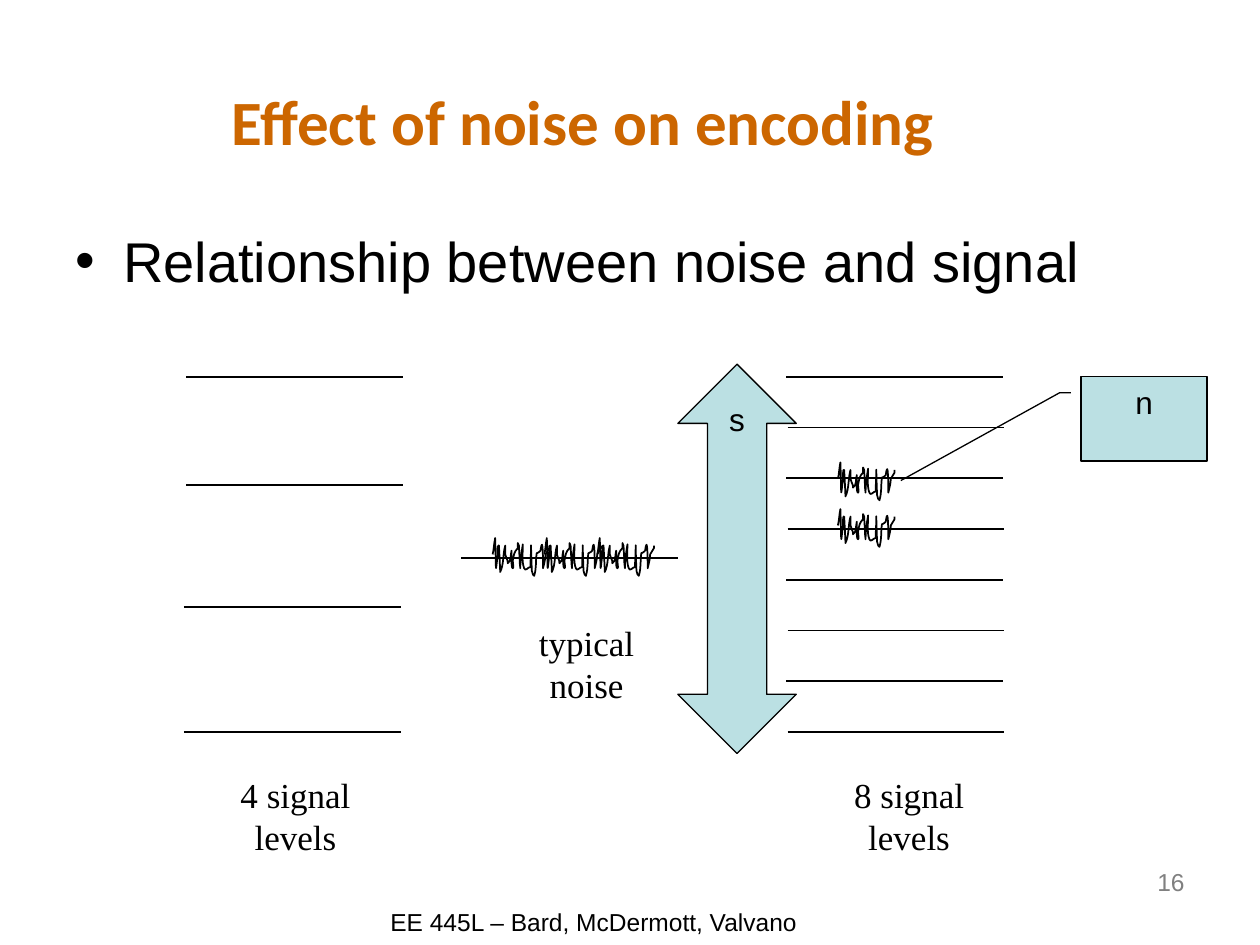
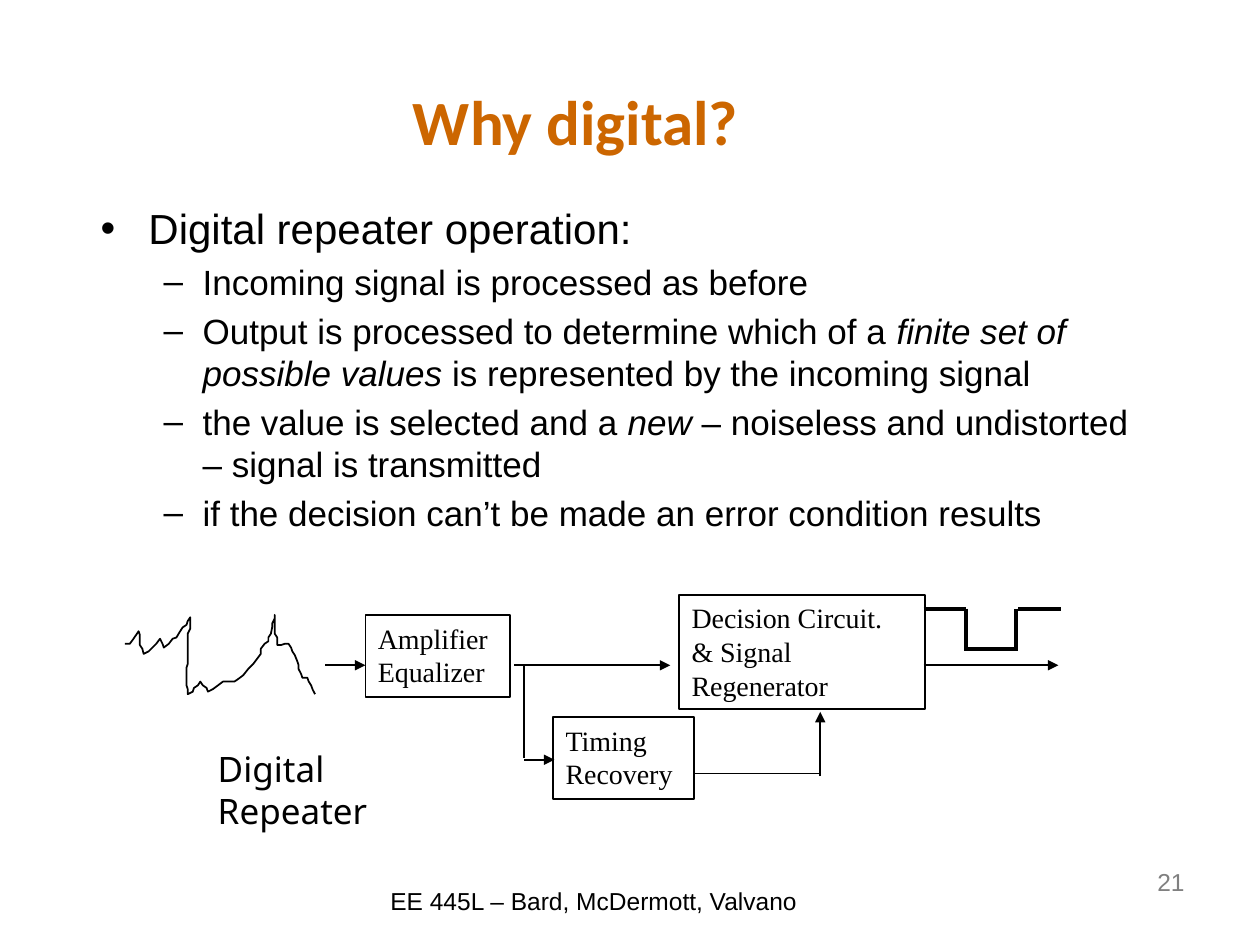
from pptx import Presentation
from pptx.dml.color import RGBColor
from pptx.enum.shapes import MSO_CONNECTOR, MSO_SHAPE
from pptx.enum.text import MSO_ANCHOR as ANCHOR, PP_ALIGN as ALIGN
from pptx.oxml.ns import qn
from pptx.util import Cm, Pt
from lxml.etree import SubElement

BLACK, ORANGE, GREY, AQUA = "000000", "CC6600", "808080", "BBE0E3"
FOOTER = "EE 445L – Bard, McDermott, Valvano "

TITLE = dict(name="Calibri", size=36, bold=True, color=ORANGE)
BODY = dict(name="Arial", size=32, color=BLACK)
SMALL = dict(BODY, size=14)
NUMBER = dict(SMALL, color=GREY)
MARK = dict(BODY, size=18)
LABEL = dict(name="Times New Roman", size=20, color=BLACK)
BLOCK = dict(LABEL, size=16)
CAPTION = dict(LABEL, name="Noto Sans")

# Bullet sign, left margin and hanging indent of each outline level
BULLETS = [("•", 0.38, -0.38), ("–", 0.81, -0.31)]

# Noise burst in hundredths of an inch: a start, then two controls and an end per curve
NOISE_SIZE = (45, 35)
NOISE_START = (0, 18)
NOISE_CURVES = [
    (1, 14, 1, 10, 2, 5), (3, 34, 2, 34, 4, 19), (4, 16, 4, 9, 5, 11),
    (5, 12, 6, 29, 6, 32), (9, 26, 8, 18, 10, 11), (10, 13, 10, 16, 10, 18),
    (11, 19, 11, 20, 11, 21), (12, 22, 12, 24, 12, 25), (15, 23, 14, 19, 15, 15),
    (15, 17, 15, 20, 15, 23), (15, 25, 15, 29, 16, 29), (17, 29, 16, 25, 16, 23),
    (17, 18, 17, 16, 20, 13), (20, 12, 20, 9, 20, 9), (21, 10, 21, 12, 21, 14),
    (22, 30, 21, 20, 22, 29), (22, 22, 23, 16, 24, 10), (24, 16, 23, 24, 25, 29),
    (26, 32, 28, 28, 30, 28), (30, 27, 30, 26, 30, 25), (31, 8, 30, 3, 31, 28),
    (31, 30, 31, 32, 32, 34), (32, 35, 33, 35, 33, 35), (35, 28, 34, 24, 35, 17),
    (35, 17, 36, 17, 37, 16), (37, 16, 38, 15, 38, 15), (40, 0, 40, 25, 40, 29),
    (41, 25, 42, 21, 42, 18), (43, 16, 44, 15, 45, 13), (45, 12, 45, 12, 45, 11),
]

# Distorted incoming signal, in hundredths of an inch on the page
INCOMING = [
    (99, 511), (103, 511), (106, 507), (108, 504), (110, 501), (111, 504), (111, 507),
    (111, 512), (113, 515), (114, 519), (118, 517), (121, 514), (124, 511), (127, 507),
    (129, 511), (130, 514), (134, 511), (137, 507), (140, 506), (143, 501), (145, 498),
    (148, 496), (149, 493), (151, 490), (151, 493), (151, 496), (151, 499), (149, 503),
    (149, 506), (149, 511), (149, 514), (149, 517), (149, 520), (149, 523), (149, 527),
    (148, 530), (148, 536), (148, 539), (148, 544), (149, 547), (149, 551), (153, 549),
    (154, 546), (157, 544), (159, 541), (161, 544), (164, 546), (165, 549), (169, 547),
    (173, 544), (177, 541), (180, 541), (183, 541), (186, 541), (189, 539), (193, 536),
    (197, 531), (201, 527), (204, 523), (207, 519), (207, 515), (210, 511), (213, 509),
    (213, 506), (215, 503), (216, 498), (216, 495), (218, 491), (218, 488), (218, 491),
    (218, 495), (218, 499), (218, 503), (220, 506), (220, 509), (220, 512), (223, 512),
    (226, 511), (229, 511), (231, 514), (232, 517), (234, 520), (236, 525), (237, 528),
    (237, 531), (239, 535), (240, 538), (244, 538), (245, 541), (247, 544), (248, 547),
    (250, 551),
]


def inch(value):
    """Turn inches into a length."""
    return Cm(value * 2.54)


def rgb(code):
    """Turn a hex string into a colour."""
    return RGBColor.from_string(code)


class Slides:
    """Holds the deck, the current page and the shared style."""

    def __init__(self):
        """Open an empty deck of 10 by 7.5 inches."""
        self.deck = Presentation()
        self.deck.slide_width, self.deck.slide_height = Cm(25.4), Cm(19.05)
        self.page = None

    def start(self, title, number, footer_top):
        """Add a page with its number, title and footer."""
        self.page = self.deck.slides.add_slide(self.deck.slide_layouts[6])
        self.text((7.17, 6.83, 2.33, 0.52), [number], NUMBER, align=ALIGN.RIGHT)
        self.text((0, 0.33, 9.25, 1.25), [title], TITLE, ALIGN.CENTER, ANCHOR.MIDDLE)
        self.text((3, footer_top, 4.33, 0.35), [FOOTER], SMALL, before=0.2)

    def spans(self, para, text, style):
        """Write styled text; parts between asterisks are italic."""
        for index, part in enumerate(text.split("*")):
            span = para.add_run()
            span.text = part
            values = dict(style, italic=index % 2 == 1)
            values["size"] = Pt(style["size"])
            span.font.color.rgb = rgb(values.pop("color"))
            for key, value in values.items():
                setattr(span.font, key, value)

    def fill_frame(self, frame, lines, style, align=ALIGN.LEFT, anchor=ANCHOR.TOP,
                   before=0, inset=0.1):
        """Set up a text frame and write one paragraph per line."""
        frame.word_wrap = True
        frame.vertical_anchor = anchor
        frame.margin_left = frame.margin_right = inch(inset)
        for index, line in enumerate(lines):
            para = frame.paragraphs[0] if index == 0 else frame.add_paragraph()
            para.alignment = align
            para.space_before = Pt(before * style["size"])
            self.spans(para, line, style)

    def text(self, area, lines, style, *layout, **spacing):
        """Add a text box."""
        box = self.page.shapes.add_textbox(*map(inch, area))
        self.fill_frame(box.text_frame, lines, style, *layout, **spacing)

    def bullets(self, area, items):
        """Add an outline from (level, size, text) items."""
        frame = self.page.shapes.add_textbox(*map(inch, area)).text_frame
        frame.word_wrap = True
        for index, (level, size, text) in enumerate(items):
            para = frame.paragraphs[0] if index == 0 else frame.add_paragraph()
            para.level = level
            para.space_before = Pt(0.2 * size)
            sign, margin, indent = BULLETS[level]
            props = para._p.get_or_add_pPr()
            props.set("marL", str(inch(margin)))
            props.set("indent", str(inch(indent)))
            SubElement(props, qn("a:buFont")).set("typeface", "Arial")
            SubElement(props, qn("a:buChar")).set("char", sign)
            self.spans(para, text, dict(BODY, size=size))

    def outline(self, shape, width, fill=None):
        """Give a shape a black outline, an optional fill and no shadow."""
        shape.shadow.inherit = False
        shape.line.color.rgb = rgb(BLACK)
        shape.line.width = Pt(width)
        if fill:
            shape.fill.solid()
            shape.fill.fore_color.rgb = rgb(fill)
        else:
            shape.fill.background()

    def shape(self, kind, area, lines, style, align=ALIGN.LEFT, width=1.0, fill=None, adjust=()):
        """Add a preset shape with text."""
        shape = self.page.shapes.add_shape(kind, *map(inch, area))
        for index, value in enumerate(adjust):
            shape.adjustments[index] = value
        self.outline(shape, width, fill)
        self.fill_frame(shape.text_frame, lines, style, align)

    def line(self, x1, y1, x2, y2, width=1.0, arrow=False):
        """Add a straight line, with an arrowhead at its end if wanted."""
        line = self.page.shapes.add_connector(
            MSO_CONNECTOR.STRAIGHT, *map(inch, (x1, y1, x2, y2)))
        line.line.color.rgb = rgb(BLACK)
        line.line.width = Pt(width)
        props = line._element.spPr
        if arrow:
            SubElement(props.find(qn("a:ln")), qn("a:tailEnd")).set("type", "triangle")
        SubElement(props, qn("a:effectLst"))

    def trace(self, points):
        """Draw an open outline through points in hundredths of an inch."""
        places = [(inch(x / 100), inch(y / 100)) for x, y in points]
        builder = self.page.shapes.build_freeform(*places[0])
        builder.add_line_segments(places[1:], close=False)
        shape = builder.convert_to_shape()
        self.outline(shape, 1)
        return shape

    def noise(self, left, top):
        """Draw one noise burst as a chain of cubic curves."""
        shape = self.trace([(0, 0), NOISE_SIZE])
        shape.left, shape.top = inch(left), inch(top)
        route = next(shape._element.iter(qn("a:path")))
        for child in list(route):
            route.remove(child)
        for key, value in zip("wh", NOISE_SIZE):
            route.set(key, str(inch(value / 100)))
        for curve in [NOISE_START] + NOISE_CURVES:
            kind = "a:moveTo" if curve is NOISE_START else "a:cubicBezTo"
            step = SubElement(route, qn(kind))
            for x, y in zip(curve[::2], curve[1::2]):
                point = SubElement(step, qn("a:pt"))
                point.set("x", str(inch(x / 100)))
                point.set("y", str(inch(y / 100)))


def noise_slide(slides):
    """Build the comparison of 4 and 8 signal levels under noise."""
    slides.start("Effect of noise on encoding", "16", 7.15)
    slides.bullets((0.5, 1.75, 9, 4.46), [(0, 32, "Relationship between noise and signal")])

    length, top, bottom = 1.72, 2.99, 5.81
    for x, y in [(1.48, top), (1.48, 3.85), (1.46, 4.82), (1.46, bottom)]:
        slides.line(x, y, x + length, y)
    for level in range(8):
        x, y = 6.24 + 0.01 * (level % 2), top + level * (bottom - top) / 7
        slides.line(x, y, x + length, y)
    slides.line(3.66, 4.43, 3.66 + length, 4.43)

    for place in [(3.91, 4.22), (4.32, 4.22), (4.74, 4.22), (6.65, 3.62), (6.65, 3.99)]:
        slides.noise(*place)

    for area, label in [((1.45, 6.26, 1.79, 0.43), "4 signal levels"),
                        ((6.32, 6.26, 1.79, 0.43), "8 signal levels"),
                        ((3.85, 5.05, 1.61, 0.43), "typical noise")]:
        slides.text(area, [label], LABEL, ALIGN.CENTER, ANCHOR.MIDDLE, inset=0.25)

    marked = dict(style=MARK, align=ALIGN.CENTER, width=0.75, fill=AQUA)
    slides.shape(MSO_SHAPE.LINE_CALLOUT_2, (8.58, 2.99, 1, 0.67), ["n"],
                 adjust=(0.19, -0.08, 0.19, -0.17, 1.23, -1.43), **marked)
    slides.shape(MSO_SHAPE.UP_DOWN_ARROW, (5.38, 2.89, 0.94, 3.09), ["s"], **marked)


def repeater_slide(slides):
    """Build the digital repeater outline and its block diagram."""
    slides.start("Why digital? ", "21", 6.98)
    slides.bullets((0.7, 1.56, 8.5, 4.5), [
        (0, 24, "Digital repeater operation:"),
        (1, 20, "Incoming signal is processed as before"),
        (1, 20, "Output is processed to determine which of a *finite set of possible "
                "values* is represented by the incoming signal"),
        (1, 20, "the value is selected and a *new* – noiseless and undistorted – "
                "signal is transmitted"),
        (1, 20, "if the decision can’t be made an error condition results"),
    ])

    slides.trace(INCOMING)
    for area, lines in [
        ((2.9, 4.88, 1.15, 0.65), ["Amplifier", "Equalizer"]),
        ((4.39, 5.69, 1.12, 0.65), ["Timing", "Recovery"]),
        ((5.39, 4.72, 1.95, 0.91), ["Decision Circuit.", "& Signal", "Regenerator"]),
    ]:
        slides.shape(MSO_SHAPE.RECTANGLE, area, lines, BLOCK)

    flow = 5.28
    for ends in [(2.58, flow, 2.9, flow), (4.08, flow, 5.32, flow), (7.33, flow, 8.4, flow),
                 (4.16, 6.03, 4.4, 6.03), (6.51, 6.16, 6.51, 5.65)]:
        slides.line(*ends, arrow=True)
    for ends in [(4.16, flow, 4.16, 6.02), (5.51, 6.14, 6.5, 6.14)]:
        slides.line(*ends)

    high, low = 4.83, 5.15
    for ends in [(7.33, high, 7.67, high), (7.67, high, 7.67, low + 0.02),
                 (7.67, low, 8.08, low), (8.06, high, 8.06, low + 0.02),
                 (8.08, high, 8.42, high)]:
        slides.line(*ends, width=2.25)
    slides.text((1.63, 5.88, 2.16, 0.43), ["Digital Repeater"], CAPTION)


show = Slides()
noise_slide(show)
repeater_slide(show)
show.deck.save("out.pptx")
